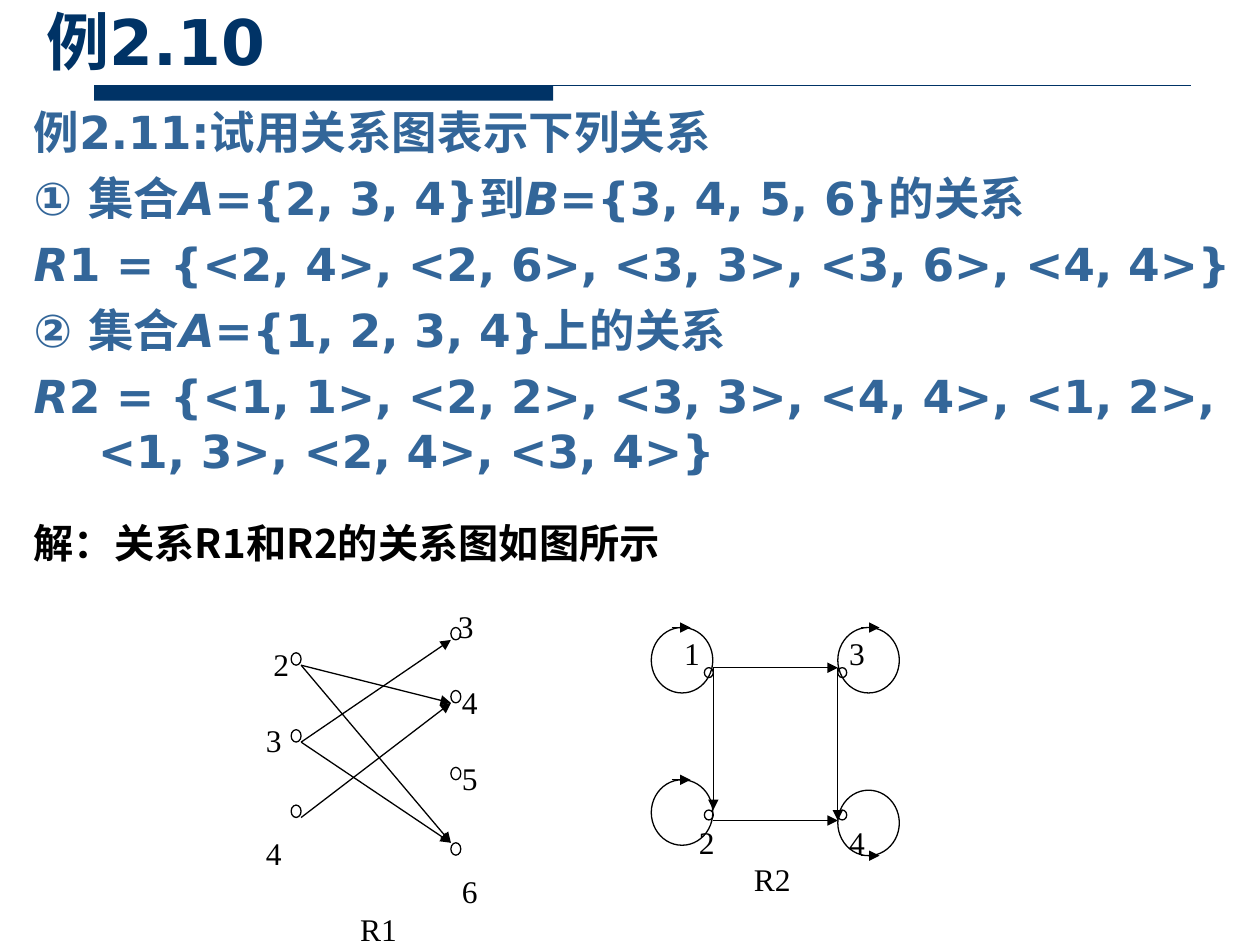
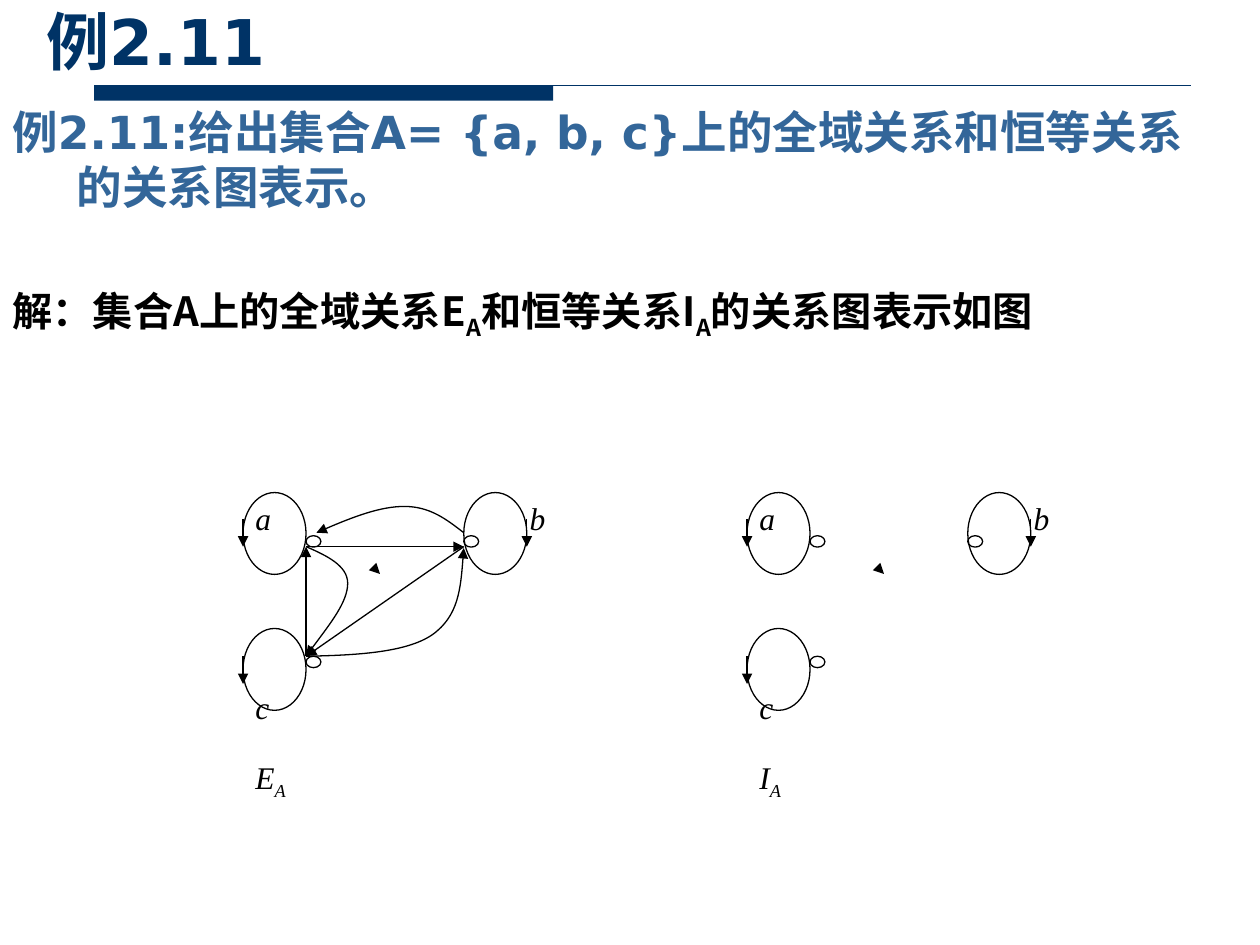
from lxml import etree
from pptx import Presentation
from pptx.dml.color import RGBColor
from pptx.enum.shapes import MSO_CONNECTOR, MSO_SHAPE
from pptx.enum.text import MSO_ANCHOR
from pptx.oxml.ns import qn
from pptx.util import Cm, Pt

STRAIGHT = MSO_CONNECTOR.STRAIGHT
ELLIPSE, RECTANGLE = MSO_SHAPE.OVAL, MSO_SHAPE.RECTANGLE
TOP, BOTTOM = MSO_ANCHOR.TOP, MSO_ANCHOR.BOTTOM
NAVY, BLUE, BLACK, WHITE = "003366", "336699", "000000", "FFFFFF"
SANS, CHINESE, SERIF = "DejaVu Sans", "Noto Sans CJK SC", "Times New Roman"
LABEL_PITCH = 21.6


def colour(value):
    return RGBColor.from_string(value)


class RelationDeck:
    """Holds the shared style and the current slide, and draws each kind of element."""

    def __init__(self):
        self.presentation = Presentation()
        self.presentation.slide_width = Cm(25.4)
        self.presentation.slide_height = Cm(19.05)
        self.slide = None

    def new_slide(self, title):
        self.slide = self.presentation.slides.add_slide(self.presentation.slide_layouts[6])
        self.shape(RECTANGLE, 1.9, 1.73, 9.25, 0.3, fill=NAVY, line=None)
        self.line((1.9, 1.73), (24, 1.73), NAVY, arrow=False)
        frame = self.text_box(0.69, 0, 24.71, 1.7, BOTTOM)
        self.paragraph(frame, [(title, "")], 36, SANS, NAVY, bold=True)

    def shape(self, kind, left, top, width, height, fill=None, line=BLACK):
        shape = self.slide.shapes.add_shape(kind, Cm(left), Cm(top), Cm(width), Cm(height))
        self.paint(shape, fill, line)

    def paint(self, shape, fill, line):
        shape.shadow.inherit = False
        if fill:
            shape.fill.solid()
            shape.fill.fore_color.rgb = colour(fill)
        else:
            shape.fill.background()
        if line:
            shape.line.color.rgb = colour(line)
            shape.line.width = Pt(0.75)
        else:
            shape.line.fill.background()

    def arrowhead(self, shape):
        outline = shape.line._get_or_add_ln()
        etree.SubElement(outline, qn("a:tailEnd"), type="triangle")

    def line(self, start, end, line=BLACK, arrow=True):
        points = [Cm(value) for value in (*start, *end)]
        connector = self.slide.shapes.add_connector(STRAIGHT, *points)
        connector.line.color.rgb = colour(line)
        connector.line.width = Pt(0.75)
        if arrow:
            self.arrowhead(connector)
        etree.SubElement(connector._element.spPr, qn("a:effectLst"))

    def curve(self, points):
        start, *others = [(Cm(x), Cm(y)) for x, y in points]
        builder = self.slide.shapes.build_freeform(*start)
        builder.add_line_segments(others, close=False)
        shape = builder.convert_to_shape()
        segments = list(shape._element.iter(qn("a:lnTo")))
        for first in range(0, len(segments), 3):
            bezier = etree.Element(qn("a:cubicBezTo"))
            segments[first].addprevious(bezier)
            for segment in segments[first:first + 3]:
                bezier.append(segment[0])
                segment.getparent().remove(segment)
        self.paint(shape, None, BLACK)
        self.arrowhead(shape)

    def text_box(self, left, top, width, height, anchor=TOP):
        box = self.slide.shapes.add_textbox(Cm(left), Cm(top), Cm(width), Cm(height))
        frame = box.text_frame
        frame.word_wrap = True
        frame.vertical_anchor = anchor
        return frame

    def paragraph(self, frame, pieces, size, font, ink, bold=False, italic=False,
                  pitch=None, before=0, hanging=0, tabs=()):
        paragraph = frame.paragraphs[0]
        if paragraph.runs:
            paragraph = frame.add_paragraph()
        for text, style in pieces:
            run = paragraph.add_run()
            run.text = text
            if style == "italic":
                run.font.italic = True
            elif style == "sub":
                run._r.get_or_add_rPr().set("baseline", "-25000")
        paragraph.space_before = Pt(before)
        if pitch:
            paragraph.line_spacing = Pt(pitch)
        paragraph.font.size = Pt(size)
        paragraph.font.bold = bold
        paragraph.font.italic = italic
        paragraph.font.color.rgb = colour(ink)
        paragraph.font.name = font
        defaults = paragraph.font._rPr
        etree.SubElement(defaults, qn("a:ea"), typeface=font)
        properties = paragraph._p.get_or_add_pPr()
        if hanging:
            properties.set("marL", str(Cm(hanging)))
            properties.set("indent", str(-Cm(hanging)))
        if tabs:
            tab_list = etree.Element(qn("a:tabLst"))
            defaults.addprevious(tab_list)
            for tab in tabs:
                etree.SubElement(tab_list, qn("a:tab"), pos=str(Cm(tab)), algn="l")

    def body(self, left, statements, solution, gap):
        frame = self.text_box(left, 1.98, 24.97, 17.07)
        for index, pieces in enumerate(statements):
            self.paragraph(frame, pieces, 26, SANS, BLUE, bold=True, pitch=31.2,
                           before=6.5 if index else 0, hanging=1.3)
        self.paragraph(frame, solution, 23, CHINESE, BLACK, bold=True, pitch=33.3,
                       before=gap, hanging=1.3)

    def labels(self, left, top, width, height, rows, italic=False):
        frame = self.text_box(left, top, width, height)
        frame.margin_right = 0
        for skipped, tabs, pieces in rows:
            self.paragraph(frame, pieces, 18, SERIF, BLACK, italic=italic, pitch=LABEL_PITCH,
                           before=skipped * LABEL_PITCH, tabs=tabs)

    def nodes(self, places, width, height, fill=None):
        for left, top in places:
            self.shape(ELLIPSE, left, top, width, height, fill)


def draw_bipartite_graph(deck):
    source_x, target_x, width, height = 5.87, 9.09, 0.2, 0.25
    source_tops = {2: 13.16, 3: 14.71, 4: 16.23}
    target_tops = {3: 12.65, 4: 13.92, 5: 15.47, 6: 16.99}
    places = [(source_x, top) for top in source_tops.values()]
    places += [(target_x, top) for top in target_tops.values()]
    deck.nodes(places, width, height, WHITE)
    for source, target in ((2, 4), (2, 6), (3, 3), (3, 6), (4, 4)):
        end_y = target_tops[target] + (0 if target == 6 else height)
        deck.line((source_x + width, source_tops[source] + height), (target_x, end_y))
    rows = [(0, 3.87, "3"), (0, 0.15, "2"), (0, 3.95, "4"), (0, 0, "3"), (0, 3.95, "5"),
            (1, 0, "4"), (0, 3.95, "6"), (0, 1.9, "R1")]
    deck.labels(5.11, 12.12, 4.85, 6.15,
                [(skipped, [tab] if tab else [], [("\t" * bool(tab) + text, "")])
                 for skipped, tab, text in rows])


def draw_square_graph(deck):
    left, right, top, bottom = 14.38, 16.89, 13.46, 16.54
    deck.nodes([(x, y) for x in (14.2, right) for y in (top, 16.33)], 0.18, 0.2, WHITE)
    for start, end in (((left, top), (left, 16.33)), ((left, top), (right, top)),
                       ((right, top), (right, bottom)), ((left, bottom), (right, bottom))):
        deck.line(start, end)
    deck.nodes([(13.13, 12.65), (right, 12.65), (13.13, 15.72), (right, 15.93)], 1.24, 1.32)
    for x, y in ((13.54, 12.65), (17.35, 12.65), (17.35, 17.25), (13.54, 15.72)):
        deck.line((x, y), (x + 0.38, y))
    deck.labels(13.54, 12.65, 4.22, 5.13, [
        (0, [3.33], [("1\t3", "")]),
        (4, [0.3, 3.33], [("\t2\t4", "")]),
        (0, [1.41], [("\tR2", "")])])


def draw_three_node_graph(deck, left, name, universal):
    loop_width, drop = 1.27, 0.56
    near, far = left + loop_width, left + 4.45
    a, b, c = (near, 11.02), (far, 11.02), (near, 13.23)
    deck.labels(left, 9.93, 6.35, 6.07, [
        (0, [5.53], [("a\tb", "")]),
        (4, [], [("c", "")]),
        (1, [], [(name, ""), ("A", "sub")])], italic=True)
    deck.nodes([(near, 10.8), (near, 13.23), (far, 10.8)], 0.3, 0.23, WHITE)
    deck.nodes([(left, 9.93), (far, 9.93), (left, 12.67)], loop_width, 1.65)
    for x, y in ((left, 10.46), (far + loop_width, 10.46), (left, 13.23)):
        deck.line((x, y), (x, y + drop))
    deck.line((left + 2.74, 11.55), (left + 2.76, 11.57))
    if universal:
        for start, end in ((b, c), (a, b), (c, a)):
            deck.line(start, end)
        deck.curve([(far, 10.74), (8.99, 10.46), (8.66, 10.21), (8.15, 10.21),
                    (7.67, 10.21), (7.01, 10.46), (6.38, 10.74)])
        deck.curve([a, (6.58, 11.2), (7.01, 11.4), (7.01, 11.76),
                    (7.01, 12.14), (6.58, 12.67), c])
        deck.curve([c, (7.16, 13.21), (8.18, 13.16), (8.71, 12.8),
                    (9.25, 12.42), (9.3, 11.73), (far, 11.05)])


def main():
    deck = RelationDeck()
    deck.new_slide("例2.10")
    deck.body(0.43, [
        [("例2.11:试用关系图表示下列关系", "")],
        [("① 集合", ""), ("A", "italic"), ("={2, 3, 4}到", ""), ("B", "italic"),
         ("={3, 4, 5, 6}的关系", "")],
        [("R", "italic"), ("1 = {<2, 4>, <2, 6>, <3, 3>, <3, 6>, <4, 4>}", "")],
        [("② 集合", ""), ("A", "italic"), ("={1, 2, 3, 4}上的关系", "")],
        [("R", "italic"),
         ("2 = {<1, 1>, <2, 2>, <3, 3>, <4, 4>, <1, 2>, <1, 3>, <2, 4>, <3, 4>}", "")],
    ], [("解：关系R1和R2的关系图如图所示", "")], 17.5)
    draw_square_graph(deck)
    draw_bipartite_graph(deck)

    deck.new_slide("例2.11")
    deck.body(0, [
        [("例2.11:给出集合A= {a, b, c}上的全域关系和恒等关系的关系图表示。", "")],
    ], [("解：集合A上的全域关系E", ""), ("A", "sub"), ("和恒等关系I", ""), ("A", "sub"),
        ("的关系图表示如图", "")], 39.7)
    draw_three_node_graph(deck, 4.9, "E", universal=True)
    draw_three_node_graph(deck, 15.06, "I", universal=False)
    deck.presentation.save("out.pptx")


if __name__ == "__main__":
    main()
